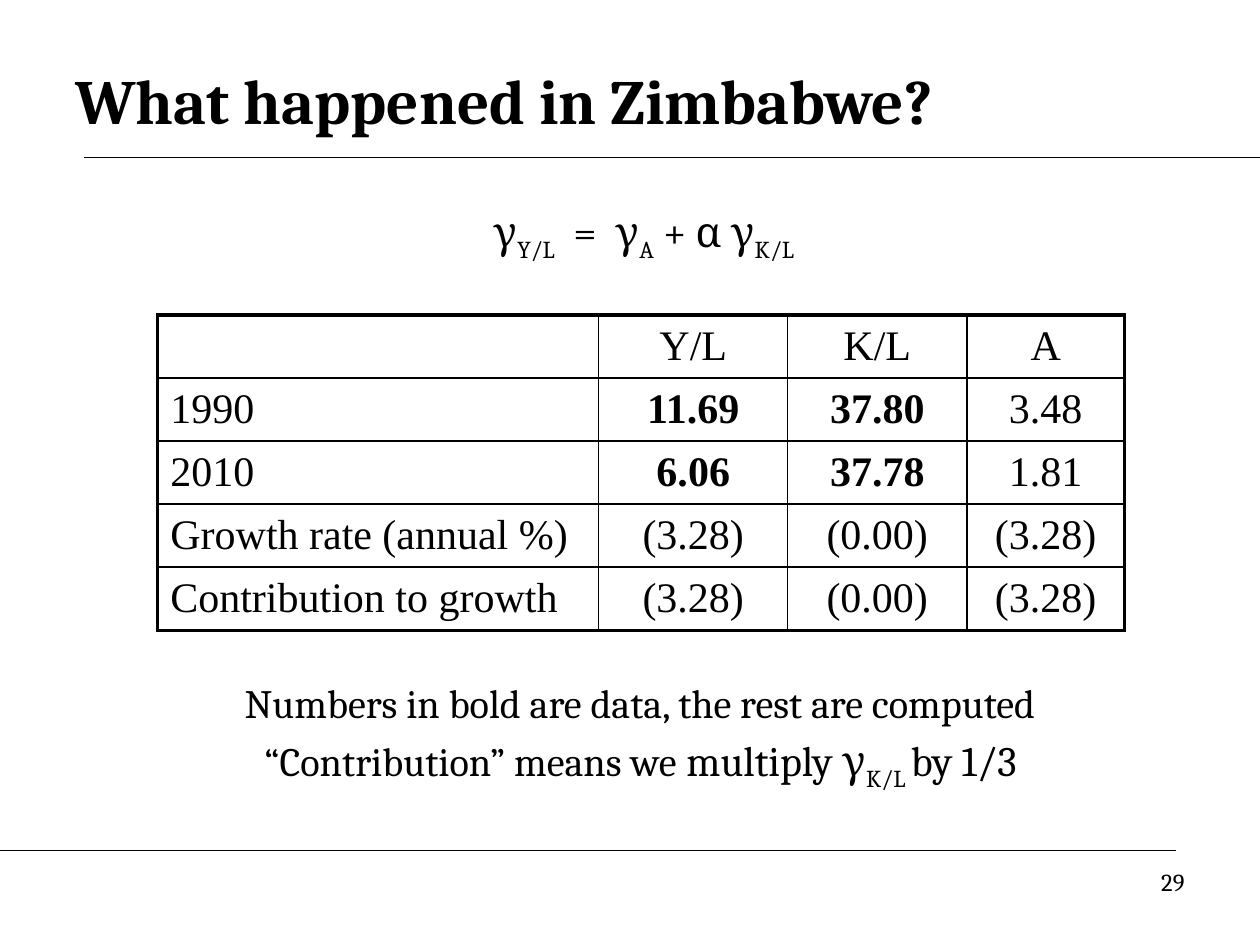
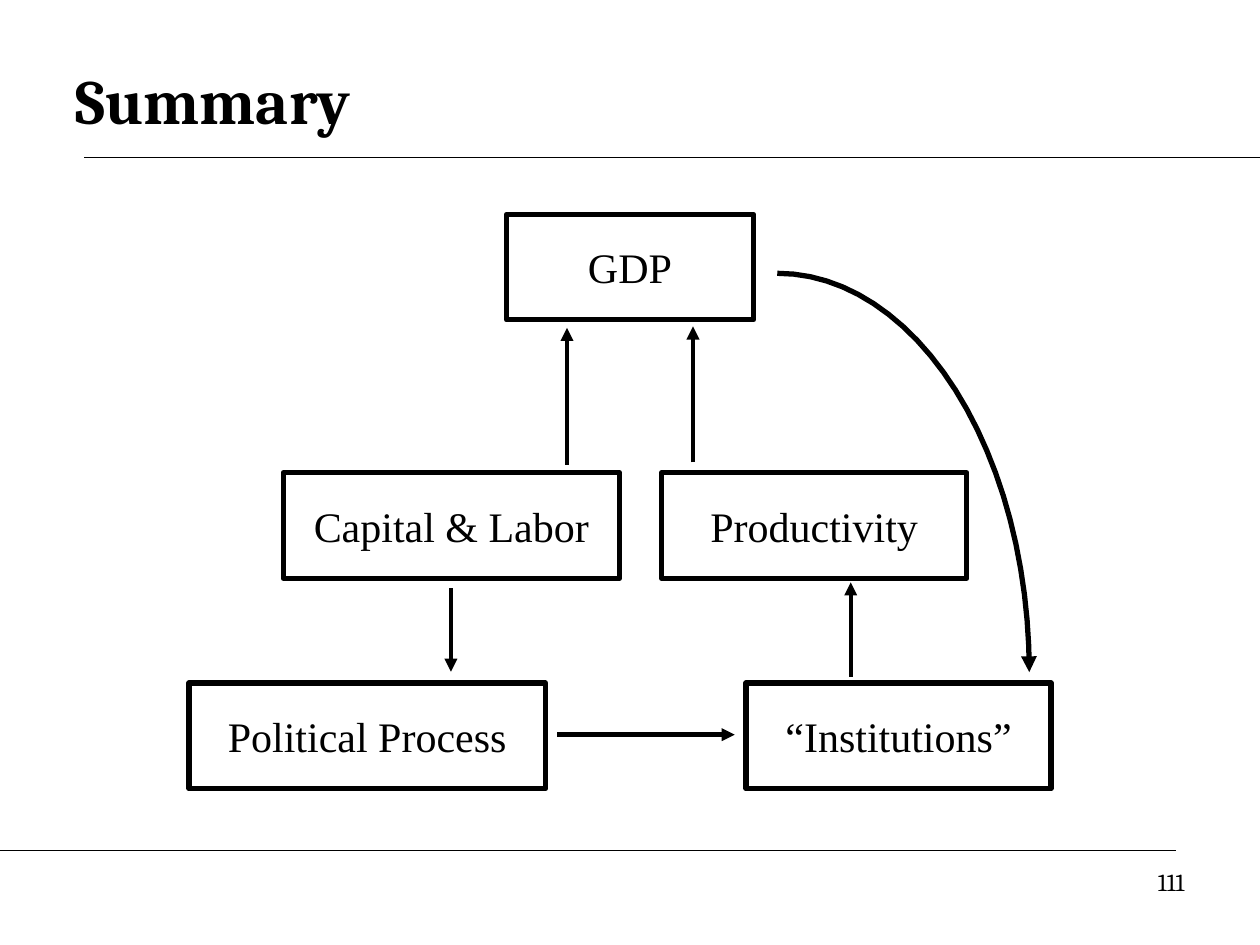
import math

import pptx
import pptx.dml.color
import pptx.enum.shapes
import pptx.enum.text
import pptx.oxml
import pptx.oxml.ns
import pptx.util
from lxml import etree

Cm = pptx.util.Cm
Pt = pptx.util.Pt
ALIGN = pptx.enum.text.PP_ALIGN
ANCHOR = pptx.enum.text.MSO_ANCHOR
INK = "000000"
HEADING_FONT = "Cambria"
DIAGRAM_FONT = "Times New Roman"


def color(hex_string):
    """Turn a hex string into a colour."""
    return pptx.dml.color.RGBColor.from_string(hex_string)


def format_paragraph(paragraph, size, font_name=HEADING_FONT, align=ALIGN.CENTER, bold=False):
    """Set the font and alignment of a paragraph."""
    paragraph.alignment = align
    paragraph.font.size = Pt(size)
    paragraph.font.name = font_name
    paragraph.font.bold = bold
    paragraph.font.color.rgb = color(INK)


def add_runs(paragraph, *parts):
    """Add text parts, lowering every second one to a subscript."""
    for index, part in enumerate(parts):
        run = paragraph.add_run()
        run.text = part
        if index % 2:
            run._r.get_or_add_rPr().set("baseline", "-25000")


def add_text_frame(slide, box):
    """Add a wrapping text box and return its text frame."""
    frame = slide.shapes.add_textbox(*map(Cm, box)).text_frame
    frame.word_wrap = True
    return frame


def add_arrowhead(shape):
    """Put a triangle at the end of a line."""
    line = shape.line._get_or_add_ln()
    etree.SubElement(line, pptx.oxml.ns.qn("a:tailEnd"), type="triangle")


def add_line(slide, start, end, width):
    """Draw a straight line without a shadow."""
    connector = slide.shapes.add_connector(
        pptx.enum.shapes.MSO_CONNECTOR.STRAIGHT, *map(Cm, (*start, *end)))
    connector.line.color.rgb = color(INK)
    connector.line.width = Pt(width)
    etree.SubElement(connector._element.spPr, pptx.oxml.ns.qn("a:effectLst"))
    return connector


def add_framed_slide(presentation, title, number):
    """Add a slide with its title, two rules and page number."""
    slide = presentation.slides.add_slide(presentation.slide_layouts[5])
    heading = slide.shapes.title
    heading.left, heading.top, heading.width, heading.height = map(Cm, (1.27, 0.84, 22.86, 2.34))
    heading.text_frame.text = title
    heading.text_frame.vertical_anchor = ANCHOR.MIDDLE
    format_paragraph(heading.text_frame.paragraphs[0], 36, align=ALIGN.LEFT, bold=True)
    add_line(slide, (1.7, 3.18), (25.4, 3.18), 0.75)
    add_line(slide, (0, 17.15), (23.7, 17.15), 0.75)
    paragraph = add_text_frame(slide, (18.2, 17.36, 5.93, 1.32)).paragraphs[0]
    paragraph.text = str(number)
    format_paragraph(paragraph, 14, align=ALIGN.RIGHT)
    return slide


def set_borders(cell, widths):
    """Draw the left, right, top and bottom borders of a cell."""
    properties = cell._tc.get_or_add_tcPr()
    for side, width in zip("LRTB", widths):
        properties.append(pptx.oxml.parse_xml(
            f'<a:ln{side} {pptx.oxml.ns.nsdecls("a")} w="{Pt(width)}">'
            f'<a:solidFill><a:srgbClr val="{INK}"/></a:solidFill></a:ln{side}>'))


def add_growth_table(slide, left, top):
    """Build the growth accounting table with a heavy outer frame."""
    rows = [
        ("", "Y/L", "K/L", "A"),
        ("1990", "11.69", "37.80", "3.48"),
        ("2010", "6.06", "37.78", "1.81"),
        ("Growth rate (annual %)", "(3.28)", "(0.00)", "(3.28)"),
        ("Contribution to growth", "(3.28)", "(0.00)", "(3.28)"),
    ]
    column_widths = (8.89, 3.81, 3.61, 3.18)
    data_rows, data_columns = (1, 2), (1, 2)
    row_height = 1.19
    last_row, last_column = len(rows) - 1, len(column_widths) - 1
    table = slide.shapes.add_table(
        len(rows), len(column_widths), Cm(left), Cm(top),
        Cm(sum(column_widths)), Cm(row_height * len(rows))).table
    table.first_row = table.horz_banding = False
    for column, width in zip(table.columns, column_widths):
        column.width = Cm(width)
    for r, values in enumerate(rows):
        table.rows[r].height = Cm(row_height)
        for c, value in enumerate(values):
            cell = table.cell(r, c)
            on_frame = (c == 0, c == last_column, r == 0, r == last_row)
            set_borders(cell, [2.25 if outer else 1 for outer in on_frame])
            cell.fill.background()
            cell.vertical_anchor = ANCHOR.MIDDLE
            paragraph = cell.text_frame.paragraphs[0]
            paragraph.text = value
            format_paragraph(paragraph, 24, DIAGRAM_FONT, ALIGN.CENTER if c else ALIGN.LEFT,
                             r in data_rows and c in data_columns)


def add_formula(slide, box):
    """Write the growth accounting equation."""
    paragraph = add_text_frame(slide, box).paragraphs[0]
    add_runs(paragraph, "γ", "Y/L", "  =  γ", "A", " + α γ", "K/L ")
    format_paragraph(paragraph, 24)


def add_table_notes(slide, box):
    """Write the two reading notes below the table."""
    frame = add_text_frame(slide, box)
    bold_note, contribution_note = frame.paragraphs[0], frame.add_paragraph()
    bold_note.text = "Numbers in bold are data, the rest are computed"
    format_paragraph(bold_note, 23)
    contribution_note.add_run().text = "“Contribution” means we "
    contribution_note.runs[0].font.size = Pt(23)
    add_runs(contribution_note, "multiply γ", "K/L ", "by 1/3")
    contribution_note.space_before = Pt(4.8)
    format_paragraph(contribution_note, 24)


def add_node(slide, label, box):
    """Draw one outlined box of the diagram."""
    node = slide.shapes.add_shape(pptx.enum.shapes.MSO_SHAPE.RECTANGLE, *map(Cm, box))
    node.shadow.inherit = False
    node.fill.background()
    node.line.color.rgb = color(INK)
    node.line.width = Pt(3)
    frame = node.text_frame
    frame.word_wrap = False
    frame.vertical_anchor = ANCHOR.MIDDLE
    frame.paragraphs[0].text = label
    format_paragraph(frame.paragraphs[0], 24, DIAGRAM_FONT)


def add_feedback_curve(slide, left, top, width, height):
    """Draw a quarter ellipse that ends in an arrowhead."""
    steps = 24
    angles = [math.pi / 2 * step / steps for step in range(steps + 1)]
    points = [(Cm(left + width * math.sin(angle)), Cm(top + height * (1 - math.cos(angle))))
              for angle in angles]
    builder = slide.shapes.build_freeform(*points[0])
    builder.add_line_segments(points[1:], close=False)
    curve = builder.convert_to_shape()
    curve.shadow.inherit = False
    curve.fill.background()
    curve.line.color.rgb = color(INK)
    curve.line.width = Pt(3)
    add_arrowhead(curve)


def add_cycle_diagram(slide, left, top):
    """Place the boxes and arrows that link GDP and institutions."""
    node_height = 2.13
    nodes = [
        ("GDP", 6.4, 0, 4.98),
        ("Capital & Labor", 1.9, 5.21, 6.78),
        ("Productivity", 9.53, 5.21, 6.15),
        ("Political Process", 0, 9.45, 7.19),
        ("“Institutions”", 11.23, 9.45, 6.15),
    ]
    arrows = [
        ((7.62, 5.05), (7.62, 2.29)),
        ((10.16, 5), (10.16, 2.26)),
        ((13.34, 9.32), (13.34, 7.42)),
        ((7.42, 10.49), (11, 10.49)),
        ((5.28, 7.54), (5.28, 9.22)),
    ]
    for label, x, y, width in nodes:
        add_node(slide, label, (left + x, top + y, width, node_height))
    for start, end in arrows:
        ends = [(left + x, top + y) for x, y in (start, end)]
        add_arrowhead(add_line(slide, *ends, 2.5))
    add_feedback_curve(slide, left + 11.86, top + 1.19, 5.08, 8.04)


def build_zimbabwe_slide(presentation):
    """Build the growth accounting slide."""
    slide = add_framed_slide(presentation, "What happened in Zimbabwe?", 29)
    add_growth_table(slide, 3.18, 6.35)
    add_table_notes(slide, (1.7, 13.54, 22.43, 2.34))
    add_formula(slide, (4.24, 4.02, 17.58, 2.06))


def build_summary_slide(presentation):
    """Build the summary diagram slide."""
    slide = add_framed_slide(presentation, "Summary", 111)
    add_cycle_diagram(slide, 3.81, 4.32)


def main():
    """Build and save the presentation."""
    presentation = pptx.Presentation()
    presentation.slide_width, presentation.slide_height = Cm(25.4), Cm(19.05)
    build_zimbabwe_slide(presentation)
    build_summary_slide(presentation)
    presentation.save("out.pptx")


if __name__ == "__main__":
    main()
